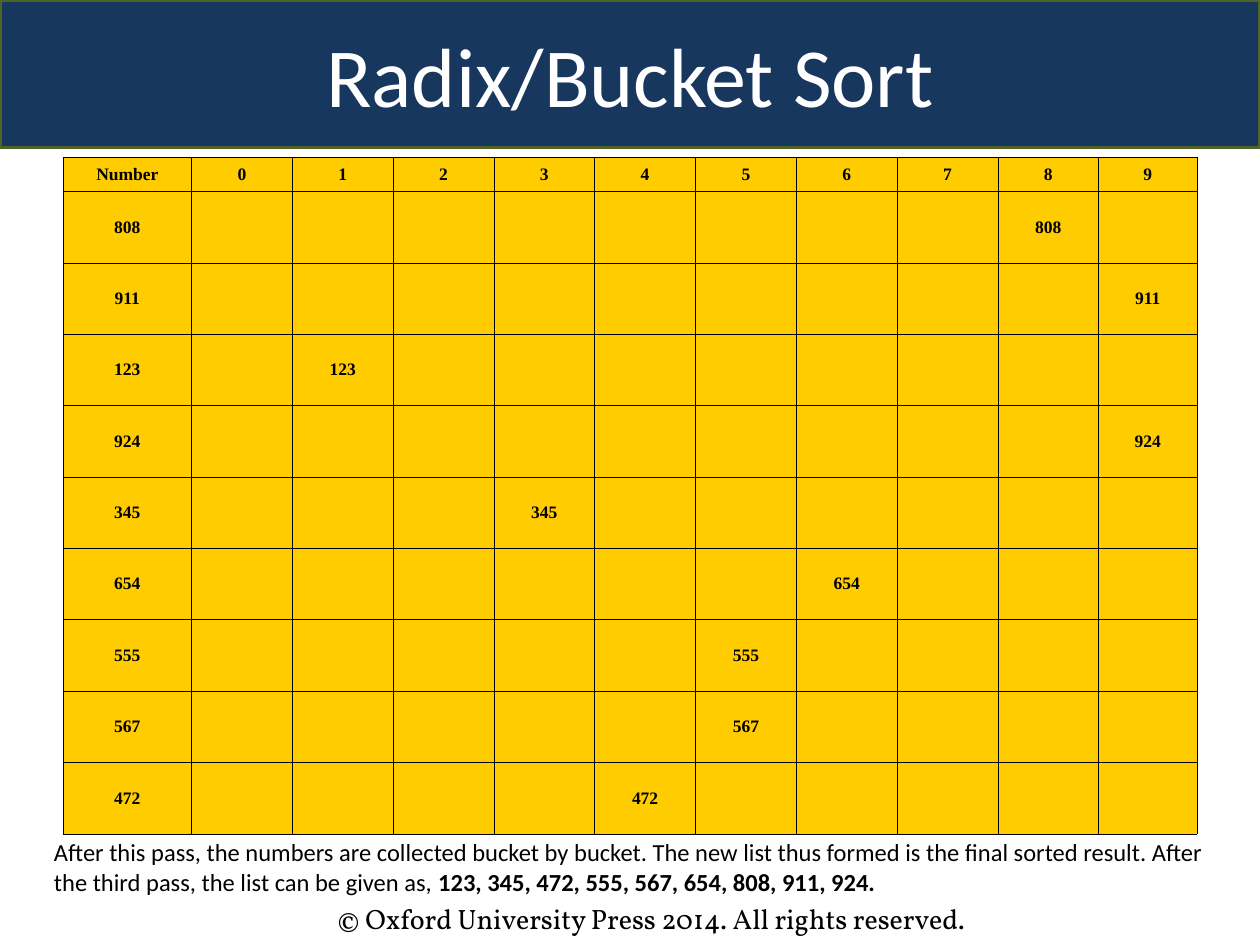
import pptx
import pptx.dml.color
import pptx.enum.text
import pptx.oxml
import pptx.oxml.ns
import pptx.util

SLIDE_W, SLIDE_H = 10, 7.5
NAVY, OLIVE, GOLD = "17375E", "4F6228", "FFCC00"
BLACK, WHITE = "000000", "FFFFFF"
CENTER = pptx.enum.text.PP_ALIGN.CENTER
LEFT = pptx.enum.text.PP_ALIGN.LEFT
MIDDLE = pptx.enum.text.MSO_ANCHOR.MIDDLE
TOP = pptx.enum.text.MSO_ANCHOR.TOP

NUMBERS = [808, 911, 123, 924, 345, 654, 555, 567, 472]


def rgb(value):
    return pptx.dml.color.RGBColor.from_string(value)


def share(left, top, width, height):
    """Turn shares of the slide's size into a box of lengths."""
    return [pptx.util.Inches(part * whole) for part, whole in
            zip((left, top, width, height), (SLIDE_W, SLIDE_H) * 2)]


def add_text(paragraph, text, *, size, font="Calibri", color=BLACK,
             bold=False, align=LEFT):
    paragraph.alignment = align
    run = paragraph.add_run()
    run.text = text
    run.font.size = pptx.util.Pt(size)
    run.font.name = font
    run.font.bold = bold
    run.font.color.rgb = rgb(color)


def set_borders(cell, color, width):
    properties = cell._tc.get_or_add_tcPr()
    namespace = pptx.oxml.ns.nsdecls("a")
    for position, side in enumerate(("lnL", "lnR", "lnT", "lnB")):
        properties.insert(position, pptx.oxml.parse_xml(
            f'<a:{side} {namespace} w="{pptx.util.Pt(width)}"><a:solidFill>'
            f'<a:srgbClr val="{color}"/></a:solidFill></a:{side}>'))


def add_banner(slide, box, heading):
    banner = slide.shapes.title
    banner.left, banner.top, banner.width, banner.height = box
    banner.fill.solid()
    banner.fill.fore_color.rgb = rgb(NAVY)
    banner.line.color.rgb = rgb(OLIVE)
    banner.line.width = pptx.util.Pt(2)
    frame = banner.text_frame
    frame.auto_size = pptx.enum.text.MSO_AUTO_SIZE.NONE
    frame.vertical_anchor = MIDDLE
    add_text(frame.paragraphs[0], heading, size=48, color=WHITE, align=CENTER)


def add_buckets(slide, box, numbers):
    """Place each number in the bucket of its hundreds digit."""
    left, top, width, height = box
    rows = [["Number", *map(str, range(10))]]
    for number in numbers:
        rows.append([str(number)] + [
            str(number) if digit == number // 100 else ""
            for digit in range(10)])
    table = slide.shapes.add_table(len(rows), 11, *box).table

    # Column and row sizes: the last bucket takes what is left
    label_width, bucket_width = pptx.util.Inches(1.02), pptx.util.Inches(0.8)
    widths = [label_width] + [bucket_width] * 9
    for column, size in zip(table.columns, widths + [width - sum(widths)]):
        column.width = size
    header_height = pptx.util.Inches(0.27)
    row_height = (height - header_height) // len(numbers)
    for index, row in enumerate(table.rows):
        row.height = row_height if index else header_height

    for row, texts in zip(table.rows, rows):
        for cell, text in zip(row.cells, texts):
            cell.fill.solid()
            cell.fill.fore_color.rgb = rgb(GOLD)
            cell.vertical_anchor = MIDDLE
            set_borders(cell, BLACK, 0.45)
            if text:
                add_text(cell.text_frame.paragraphs[0], text, size=10,
                         font="Times New Roman", bold=True, align=CENTER)


def add_note(slide, box, parts, anchor=TOP, **style):
    """Write one paragraph of (text, bold) parts."""
    frame = slide.shapes.add_textbox(*box).text_frame
    frame.word_wrap = True
    frame.vertical_anchor = anchor
    for text, bold in parts:
        add_text(frame.paragraphs[0], text, bold=bold, **style)


def main():
    deck = pptx.Presentation()
    deck.slide_width = pptx.util.Inches(SLIDE_W)
    deck.slide_height = pptx.util.Inches(SLIDE_H)
    slide = deck.slides.add_slide(deck.slide_layouts[5])

    # Copyright line
    add_note(slide, share(0.258, 0.947, 0.592, 0.049),
             [("© Oxford University Press 2014. All rights reserved.", False)],
             size=16, font="Vollkorn")

    # Heading and the third pass
    add_banner(slide, share(0, 0, 1, 0.156), "Radix/Bucket Sort")
    add_buckets(slide, share(0.05, 1 / 6, 0.9, 0.716), NUMBERS)

    # Sorted result
    result = ", ".join(map(str, sorted(NUMBERS))) + "."
    add_note(slide, share(0.033, 0.879, 0.942, 0.076), [
        ("After this pass, the numbers are collected bucket by bucket. "
         "The new list thus formed is the final sorted result. "
         "After the third pass, the list can be given as, ", False),
        (result, True)], anchor=MIDDLE, size=14)

    deck.save("out.pptx")


if __name__ == "__main__":
    main()
